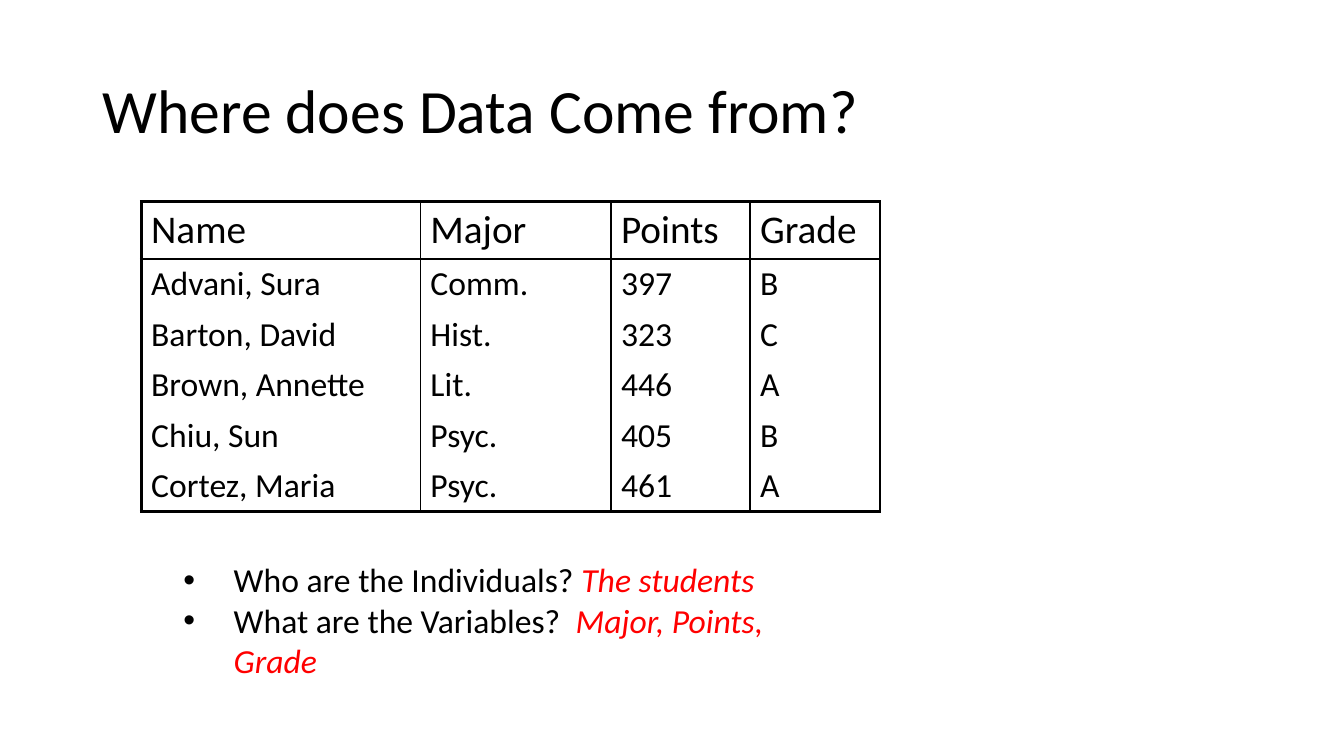
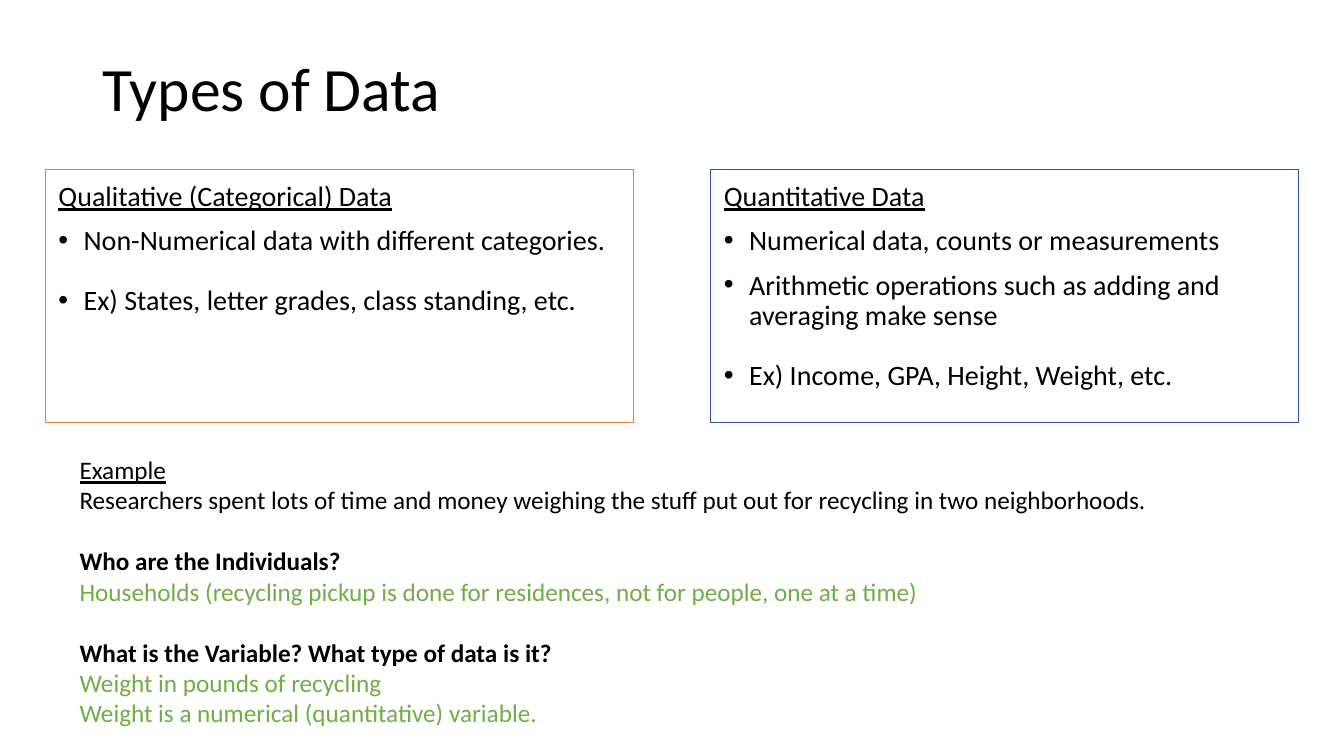
from pptx import Presentation
from pptx.dml.color import RGBColor
from pptx.enum.shapes import MSO_SHAPE
from pptx.enum.text import MSO_ANCHOR, PP_ALIGN
from pptx.oxml.ns import qn
from pptx.util import Inches, Pt
from lxml.etree import SubElement

FONT = "Calibri"
BLACK, RED, GREEN = "000000", "FF0000", "70AD47"
ORANGE, BLUE = "ED7D31", "2F5597"
THICK, THIN = 2.25, 1


def rgb(color):
    return RGBColor.from_string(color)


def add_run(p, text, size, color=BLACK, bold=False, italic=False, underline=False):
    r = p.add_run()
    r.text = text
    font = r.font
    font.name, font.size, font.color.rgb = FONT, Pt(size), rgb(color)
    font.bold, font.italic, font.underline = bold, italic, underline


def add_paragraph(tf, index, line=1, before=0, after=0):
    """Return the first paragraph for index 0, otherwise a new one."""
    p = tf.add_paragraph() if index else tf.paragraphs[0]
    p.alignment = PP_ALIGN.LEFT
    p.line_spacing = line
    p.space_before, p.space_after = Pt(before), Pt(after)
    return p


def set_bullet(p, indent):
    pPr = p._p.get_or_add_pPr()
    pPr.set("marL", str(Inches(indent)))
    pPr.set("indent", str(-Inches(indent)))
    SubElement(pPr, qn("a:buFont"), typeface="Arial")
    SubElement(pPr, qn("a:buChar"), char="•")


def add_text_box(s, left, top, width, height):
    box = s.shapes.add_textbox(Inches(left), Inches(top), Inches(width), Inches(height))
    tf = box.text_frame
    tf.word_wrap = True
    return tf


def add_title(s, text, top):
    tf = add_text_box(s, 0.92, top, 11.5, 1.45)
    tf.vertical_anchor = MSO_ANCHOR.MIDDLE
    add_run(add_paragraph(tf, 0, line=0.9), text, 44)


def set_borders(cell, widths):
    """Draw the left, right, top and bottom borders; width 0 means none."""
    tcPr = cell._tc.get_or_add_tcPr()
    for side, width in zip("LRTB", widths):
        ln = SubElement(tcPr, qn(f"a:ln{side}"), w=str(Pt(width)))
        if width:
            fill = SubElement(ln, qn("a:solidFill"))
            SubElement(fill, qn("a:srgbClr"), val=BLACK)
        else:
            SubElement(ln, qn("a:noFill"))


def add_grade_table(s, rows, col_widths, row_heights):
    frame = s.shapes.add_table(
        len(rows), len(col_widths), Inches(1.4), Inches(2),
        Inches(sum(col_widths)), Inches(sum(row_heights)))
    table = frame.table
    table.first_row = table.horz_banding = False
    for column, width in zip(table.columns, col_widths):
        column.width = Inches(width)
    last_row, last_col = len(rows) - 1, len(col_widths) - 1
    for i, row in enumerate(rows):
        table.rows[i].height = Inches(row_heights[i])
        for j, text in enumerate(row):
            cell = table.cell(i, j)
            add_run(add_paragraph(cell.text_frame, 0), text, 24 if i else 28)
            set_borders(cell, (
                THIN if j else THICK,
                THICK if j == last_col else THIN,
                THICK if i <= 1 else 0,
                THICK if i in (0, last_row) else 0))
            cell.fill.background()


def add_questions(s, questions):
    tf = add_text_box(s, 1.72, 5.5, 6, 1.31)
    for i, (question, answer) in enumerate(questions):
        p = add_paragraph(tf, i)
        set_bullet(p, 0.5)
        add_run(p, question, 24)
        add_run(p, answer, 24, RED, italic=True)


def add_data_box(s, left, color, heading, points, example):
    """Outlined box: underlined heading, bullet points, then a spaced example."""
    sp = s.shapes.add_shape(MSO_SHAPE.RECTANGLE, Inches(left), Inches(1.68),
                            Inches(5.83), Inches(2.51))
    sp.shadow.inherit = False
    sp.fill.background()
    sp.line.color.rgb, sp.line.width = rgb(color), Pt(0.75)
    tf = sp.text_frame
    tf.word_wrap = True
    tf.vertical_anchor = MSO_ANCHOR.TOP
    tf.margin_left = tf.margin_right = tf.margin_top = tf.margin_bottom = Inches(0.13)
    add_run(add_paragraph(tf, 0, 0.9, 10), heading, 20, underline=True)
    for i, text in enumerate(points + [example], 1):
        spacing = (21.3, 21.3) if text == example else (10, 0)
        p = add_paragraph(tf, i, 0.9, *spacing)
        set_bullet(p, 0.25)
        add_run(p, text, 20)


def add_example(s, intro, questions):
    tf = add_text_box(s, 0.69, 4.46, 11.45, 3.13)
    lines = [("Example", {"underline": True}, 0), (intro, {}, 0)]
    for question, answers in questions:
        lines.append((question, {"bold": True}, 22))
        lines += [(answer, {"color": GREEN}, 0) for answer in answers]
    for i, (text, style, before) in enumerate(lines):
        add_run(add_paragraph(tf, i, before=before), text, 18, **style)


def build_source_slide(s):
    add_title(s, "Where does Data Come from?", 0.4)
    add_grade_table(s, [
        ("Name", "Major", "Points", "Grade"),
        ("Advani, Sura", "Comm.", "397", "B"),
        ("Barton, David", "Hist.", "323", "C"),
        ("Brown, Annette", "Lit.", "446", "A"),
        ("Chiu, Sun", "Psyc.", "405", "B"),
        ("Cortez, Maria", "Psyc.", "461", "A"),
    ], [2.77, 1.89, 1.38, 1.29], [0.57] + [0.5] * 5)
    add_questions(s, [
        ("Who are the Individuals? ", "The students"),
        ("What are the Variables?  ", "Major, Points, Grade"),
    ])


def build_types_slide(s):
    add_title(s, "Types of Data", 0.18)
    add_data_box(s, 0.45, ORANGE, "Qualitative (Categorical) Data",
                 ["Non-Numerical data with different categories."],
                 "Ex) States, letter grades, class standing, etc.")
    add_data_box(s, 7.05, BLUE, "Quantitative Data",
                 ["Numerical data, counts or measurements",
                  "Arithmetic operations such as adding and averaging make sense"],
                 "Ex) Income, GPA, Height, Weight, etc.")
    add_example(
        s,
        "Researchers spent lots of time and money weighing the stuff put out "
        "for recycling in two neighborhoods.",
        [("Who are the Individuals?",
          ["Households (recycling pickup is done for residences, not for people, "
           "one at a time)"]),
         ("What is the Variable? What type of data is it?",
          ["Weight in pounds of recycling",
           "Weight is a numerical (quantitative) variable."])])


def main():
    prs = Presentation()
    prs.slide_width, prs.slide_height = Inches(13.33), Inches(7.5)
    for build in (build_source_slide, build_types_slide):
        build(prs.slides.add_slide(prs.slide_layouts[6]))
    prs.save("out.pptx")


if __name__ == "__main__":
    main()
